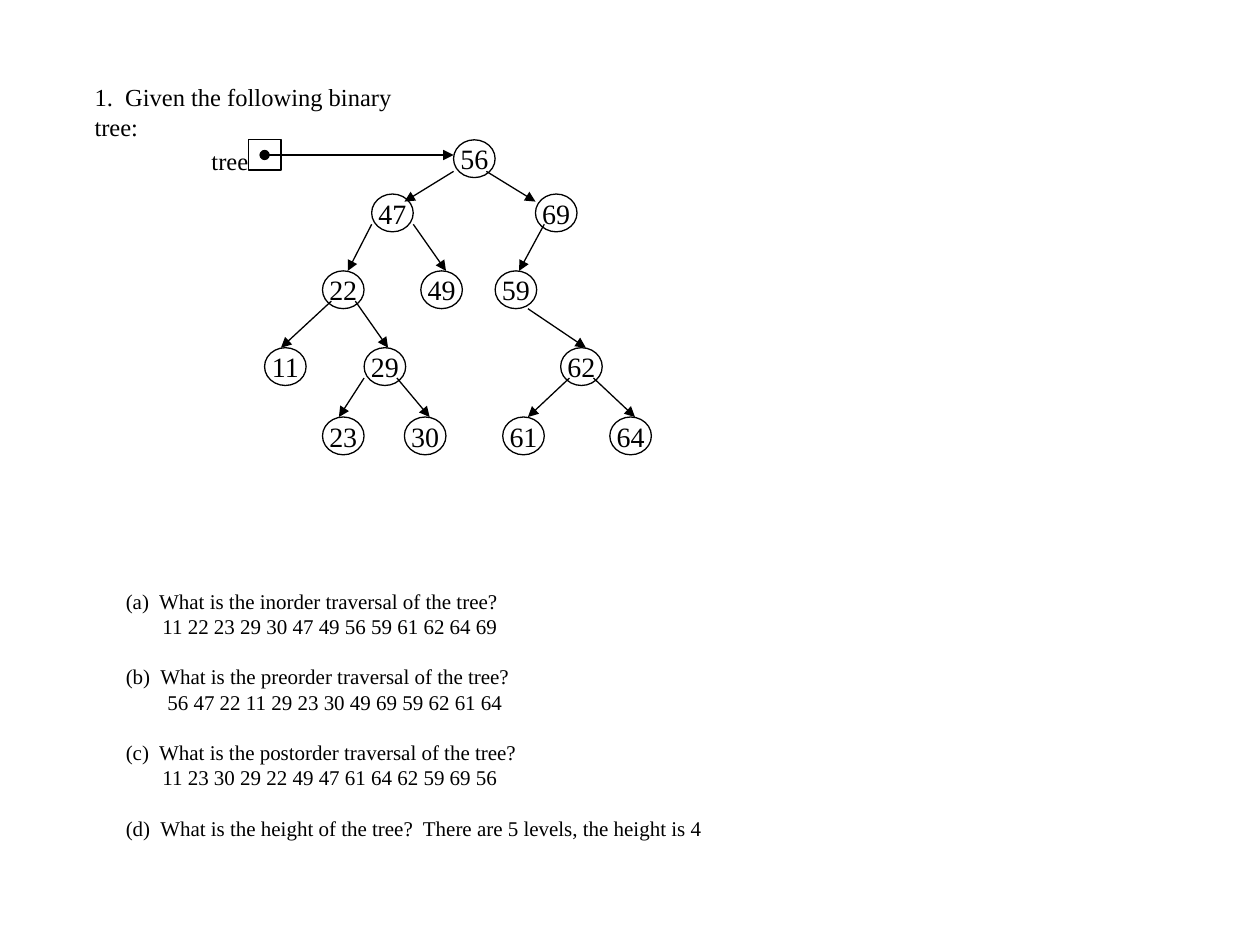
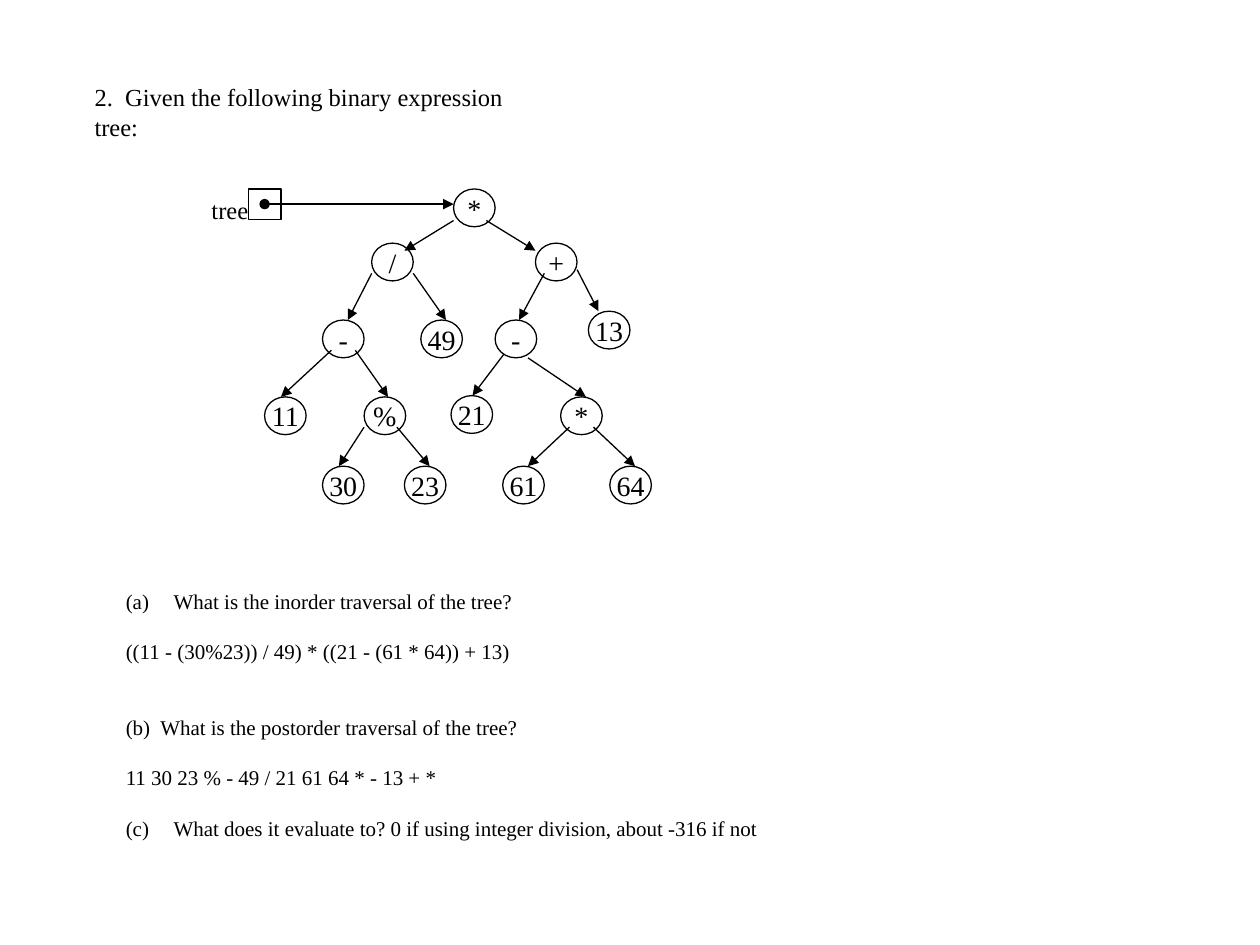
from lxml.etree import SubElement
from pptx import Presentation
from pptx.dml.color import RGBColor
from pptx.enum.shapes import MSO_CONNECTOR, MSO_SHAPE
from pptx.enum.text import MSO_ANCHOR, MSO_AUTO_SIZE, PP_ALIGN
from pptx.oxml.ns import qn
from pptx.util import Inches, Pt

NODE_SIZE = (0.33, 0.3)
ROOT = (3.6, 0)
LABEL_SIZE, TITLE_SIZE, NODE_TEXT_SIZE = 12, 14, 16
LINE = 14.4  # line pitch of the questions, in points

# Each slot is named by its way down from the root (L = left, R = right):
# corner below the tree's top, arrow start from the parent's corner,
# arrow tip from the node's own corner
SLOTS = {
    "L": ((2.95, 0.43), (0, 0.25), (0.26, 0.06)),
    "R": ((4.25, 0.43), (0.26, 0.25), (0, 0.06)),
    "LL": ((2.56, 1.04), (0, 0.24), (0.2, 0)),
    "LR": ((3.34, 1.04), (0.33, 0.24), (0.2, 0)),
    "RL": ((3.93, 1.04), (0.07, 0.24), (0.19, 0)),
    "RR": ((4.67, 0.97), (0.33, 0.21), (0.08, 0)),
    "LLL": ((2.1, 1.65), (0.07, 0.24), (0.13, 0)),
    "LLR": ((2.89, 1.65), (0.26, 0.24), (0.19, 0)),
    "RLL": ((3.58, 1.64), (0.07, 0.27), (0.17, 0)),
    "RLR": ((4.45, 1.65), (0.26, 0.3), (0.2, 0)),
    "LLRL": ((2.56, 2.2), (0, 0.24), (0.13, 0)),
    "LLRR": ((3.21, 2.2), (0.26, 0.24), (0.2, 0)),
    "RLRL": ((3.99, 2.2), (0.07, 0.24), (0.2, 0)),
    "RLRR": ((4.84, 2.2), (0.26, 0.24), (0.2, 0)),
}


def color(value):
    return RGBColor.from_string(value)


def apply(target, values):
    for name, value in values.items():
        setattr(target, name, value)


class Worksheet:
    """Holds the style and the slide being drawn."""

    font = "Times New Roman"
    ink = "000000"
    line_width = Pt(0.75)

    def __init__(self, presentation):
        self.presentation = presentation
        self.slide = None

    def add_text(self, paragraph, text, size, **values):
        run = paragraph.add_run()
        run.text = text
        apply(run.font, {"name": self.font, "size": Pt(size), "bold": False})
        run.font.color.rgb = color(self.ink)
        apply(paragraph, values)

    def title(self, text, width):
        layout = self.presentation.slide_layouts[5]
        self.slide = self.presentation.slides.add_slide(layout)
        shape = self.slide.shapes.title
        apply(shape, {"left": Inches(0.65), "top": Inches(0.6),
                      "width": Inches(width), "height": Inches(0.33)})
        apply(shape.text_frame, {"word_wrap": True, "auto_size": MSO_AUTO_SIZE.NONE,
                                 "vertical_anchor": MSO_ANCHOR.TOP})
        self.add_text(shape.text_frame.paragraphs[0], text, TITLE_SIZE,
                      alignment=PP_ALIGN.LEFT, line_spacing=Pt(17))

    def text_box(self, left, top, width, height):
        box = self.slide.shapes.add_textbox(
            Inches(left), Inches(top), Inches(width), Inches(height))
        box.text_frame.word_wrap = False
        return box.text_frame

    def outline(self, kind, left, top, width, height):
        shape = self.slide.shapes.add_shape(
            kind, Inches(left), Inches(top), Inches(width), Inches(height))
        shape.shadow.inherit = False
        shape.fill.background()
        shape.line.color.rgb = color(self.ink)
        shape.line.width = self.line_width
        return shape

    def node(self, text, left, top):
        frame = self.outline(MSO_SHAPE.OVAL, left, top, *NODE_SIZE).text_frame
        apply(frame, {"word_wrap": False, "vertical_anchor": MSO_ANCHOR.MIDDLE})
        self.add_text(frame.paragraphs[0], text, NODE_TEXT_SIZE,
                      alignment=PP_ALIGN.CENTER)

    def arrow(self, start, end, head=None):
        points = [Inches(value) for value in (*start, *end)]
        connector = self.slide.shapes.add_connector(MSO_CONNECTOR.STRAIGHT, *points)
        connector.line.color.rgb = color(self.ink)
        connector.line.width = self.line_width
        properties = connector._element.spPr
        line = properties.find(qn("a:ln"))
        if head:
            SubElement(line, qn("a:headEnd"), type=head)
        SubElement(line, qn("a:tailEnd"), type="triangle")
        SubElement(properties, qn("a:effectLst"))

    def tree(self, top, root, labels):
        # Nodes, each with the arrow from its parent
        corners = {"": ROOT} | {slot: place[0] for slot, place in SLOTS.items()}
        self.node(root, ROOT[0], top)
        for slot, label in labels.items():
            (left, drop), start, tip = SLOTS[slot]
            parent_left, parent_drop = corners[slot[:-1]]
            self.node(label, left, top + drop)
            self.arrow((parent_left + start[0], top + parent_drop + start[1]),
                       (left + tip[0], top + drop + tip[1]))
        # Pointer to the root
        self.outline(MSO_SHAPE.RECTANGLE, 1.97, top, 0.26, 0.24)
        frame = self.text_box(1.58, top, 0.49, 0.33)
        self.add_text(frame.paragraphs[0], "tree", TITLE_SIZE)
        self.arrow((2.1, top + 0.12), (ROOT[0], top + 0.12), head="oval")

    def questions(self, width, height, lines):
        """Lines are (text, blank lines above, left indent, number or None)."""
        frame = self.text_box(0.9, 4.62, width, height)
        for index, (text, gap, indent, number) in enumerate(lines):
            paragraph = frame.add_paragraph() if index else frame.paragraphs[0]
            self.add_text(paragraph, text, LABEL_SIZE, line_spacing=Pt(LINE),
                          space_before=Pt(gap * LINE))
            properties = paragraph._p.get_or_add_pPr()
            properties.set("marL", str(Inches(indent)))
            if number:
                properties.set("indent", str(-Inches(indent)))
                SubElement(properties, qn("a:buAutoNum"),
                           type="alphaLcParenBoth", startAt=str(number))


presentation = Presentation()
apply(presentation, {"slide_width": Inches(10), "slide_height": Inches(7.5)})
sheet = Worksheet(presentation)

# Slide 1: binary search tree
sheet.title("1.  Given the following binary tree:", 2.9)
sheet.tree(1.11, "56", {
    "L": "47", "R": "69", "LL": "22", "LR": "49", "RL": "59",
    "LLL": "11", "LLR": "29", "RLR": "62",
    "LLRL": "23", "LLRR": "30", "RLRL": "61", "RLRR": "64"})
sheet.questions(4.88, 2.12, [
    ("(a)  What is the inorder traversal of the tree?", 0, 0, None),
    ("11 22 23 29 30 47 49 56 59 61 62 64 69", 0, 0.29, None),
    ("(b)  What is the preorder traversal of the tree?", 1, 0, None),
    ("56 47 22 11 29 23 30 49 69 59 62 61 64", 0, 0.33, None),
    ("(c)  What is the postorder traversal of the tree?", 1, 0, None),
    ("11 23 30 29 22 49 47 61 64 62 59 69 56", 0, 0.29, None),
    ("(d)  What is the height of the tree?  There are 5 levels, the height is 4",
     1, 0, None)])

# Slide 2: binary expression tree
sheet.title("2.  Given the following binary expression tree:", 3.78)
sheet.tree(1.5, "*", {
    "L": "/", "R": "+", "LL": "-", "LR": "49", "RL": "-", "RR": "13",
    "LLL": "11", "LLR": "%", "RLL": "21", "RLR": "*",
    "LLRL": "30", "LLRR": "23", "RLRL": "61", "RLRR": "64"})
sheet.questions(5.23, 2.3, [
    ("What is the inorder traversal of the tree?", 0, 0.38, 1),
    ("((11 - (30%23)) / 49) * ((21 - (61 * 64)) + 13)", 1, 0, None),
    ("(b)  What is the postorder traversal of the tree?", 2, 0, None),
    ("11 30 23 % - 49 / 21 61 64 * - 13 + *", 1, 0, None),
    ("What does it evaluate to? 0 if using integer division, about -316 if not",
     1, 0.38, 3)])

presentation.save("out.pptx")
